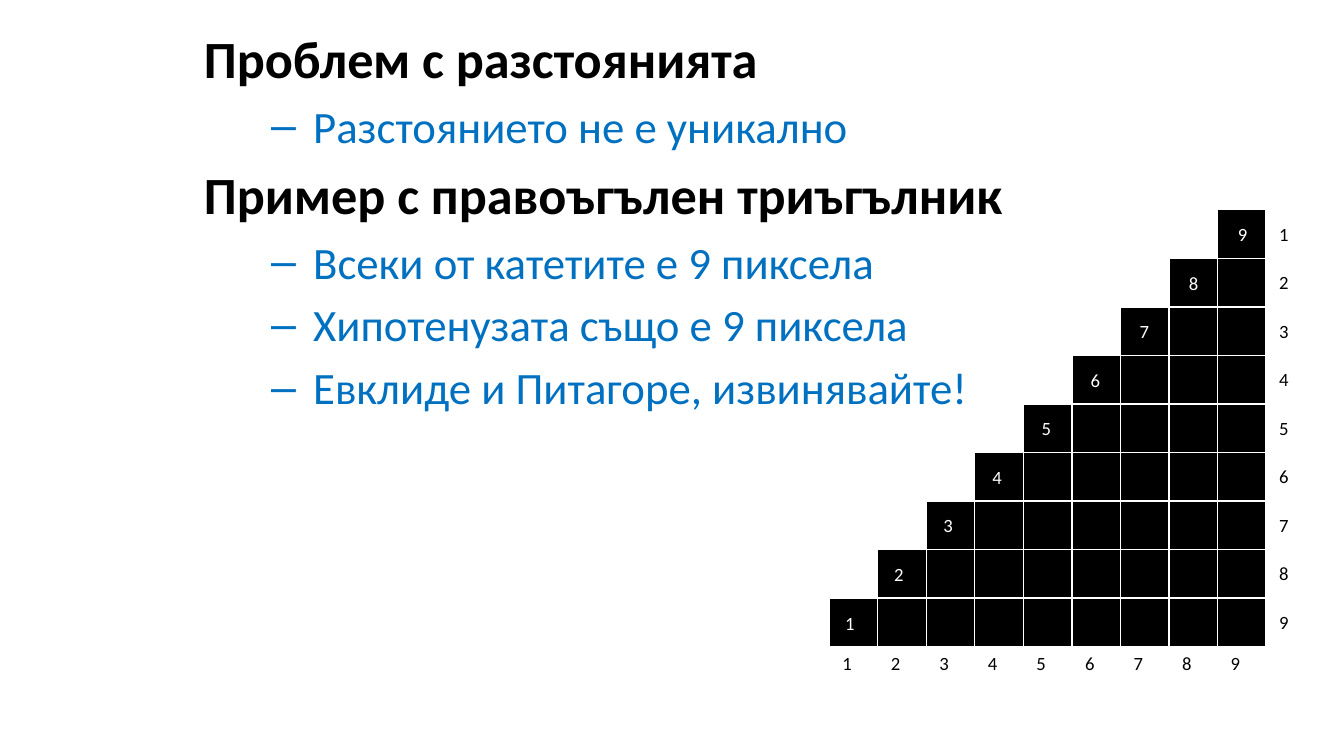
from dataclasses import dataclass

from lxml.etree import SubElement
from pptx import Presentation
from pptx.dml.color import RGBColor
from pptx.enum.shapes import MSO_SHAPE as Shape
from pptx.enum.text import MSO_AUTO_SIZE as AutoSize
from pptx.oxml.ns import qn
from pptx.util import Pt


@dataclass(frozen=True)
class Theme:
    font: str = "Calibri"
    black: RGBColor = RGBColor(0, 0, 0)
    white: RGBColor = RGBColor(255, 255, 255)
    blue: RGBColor = RGBColor(0, 0x70, 0xC0)
    heading_size: float = 28
    item_size: float = 24
    label_size: float = 10


THEME = Theme()
COUNT = 9
CELL = 26
GRID_LEFT, GRID_TOP = 444.2, 112.4
LABEL_SIDE = 19.4
ITEM_INDENT, ITEM_HANG = 58.5, 22.5

OUTLINE = [
    ("Проблем с разстоянията", ["Разстоянието не е уникално"]),
    ("Пример с правоъгълен триъгълник", [
        "Всеки от катетите е 9 пиксела",
        "Хипотенузата също е 9 пиксела",
        "Евклиде и Питагоре, извинявайте!",
    ]),
]


def add_span(para, text, size, color, bold=False):
    span = para.add_run()
    span.text = text
    span.font.color.rgb = color
    for name, value in {"name": THEME.font, "size": Pt(size), "bold": bold}.items():
        setattr(span.font, name, value)


def add_dash(para):
    """Give the paragraph a hanging en dash as its bullet."""
    properties = para._p.get_or_add_pPr()
    properties.set("marL", str(Pt(ITEM_INDENT)))
    properties.set("indent", str(-Pt(ITEM_HANG)))
    SubElement(properties, qn("a:buFont"), typeface="Arial")
    SubElement(properties, qn("a:buChar"), char="–")


def add_outline(page):
    box = page.shapes.add_textbox(Pt(102.2), Pt(10.8), Pt(617.8), Pt(372.2))
    frame = box.text_frame
    frame.word_wrap = True
    para = frame.paragraphs[0]
    for number, (heading, items) in enumerate(OUTLINE):
        if number:
            para = frame.add_paragraph()
        para.space_before = Pt(THEME.heading_size * 0.2)
        add_span(para, heading, THEME.heading_size, THEME.black, bold=True)
        for item in items:
            para = frame.add_paragraph()
            para.level = 1
            para.space_before = Pt(THEME.item_size * 0.2)
            add_dash(para)
            add_span(para, item, THEME.item_size, THEME.blue)


def add_pixel(group, column, row):
    pixel = group.shapes.add_shape(
        Shape.RECTANGLE,
        Pt(GRID_LEFT + column * CELL), Pt(GRID_TOP + row * CELL), Pt(CELL), Pt(CELL))
    pixel.shadow.inherit = False
    pixel.fill.solid()
    pixel.fill.fore_color.rgb = THEME.black
    pixel.line.color.rgb = THEME.white
    pixel.line.width = Pt(0.75)


def add_triangle(page):
    group = page.shapes.add_group_shape()
    for row in range(COUNT):
        for column in range(COUNT - 1 - row, COUNT):
            add_pixel(group, column, row)


def add_label(page, number, left, top, color):
    box = page.shapes.add_textbox(Pt(left), Pt(top), Pt(LABEL_SIDE), Pt(LABEL_SIDE))
    frame = box.text_frame
    for name, value in {"word_wrap": False, "auto_size": AutoSize.SHAPE_TO_FIT_TEXT}.items():
        setattr(frame, name, value)
    add_span(frame.paragraphs[0], str(number), THEME.label_size, color)


def add_labels(page):
    """Number the rows, the columns and the pixels of the hypotenuse."""
    side = COUNT * CELL
    for index in range(COUNT):
        number, step = index + 1, index * CELL
        add_label(page, number, GRID_LEFT + side, GRID_TOP + 3.2 + step, THEME.black)
        add_label(page, number, GRID_LEFT + step, GRID_TOP + side - 0.8, THEME.black)
        add_label(page, number, GRID_LEFT + 1.5 + index * 26.3,
                  GRID_TOP + side - CELL + 3.6 - step, THEME.white)


def main():
    deck = Presentation()
    deck.slide_width, deck.slide_height = Pt(720), Pt(405)
    page = deck.slides.add_slide(deck.slide_layouts[6])
    add_outline(page)
    add_triangle(page)
    add_labels(page)
    deck.save("out.pptx")


if __name__ == "__main__":
    main()
